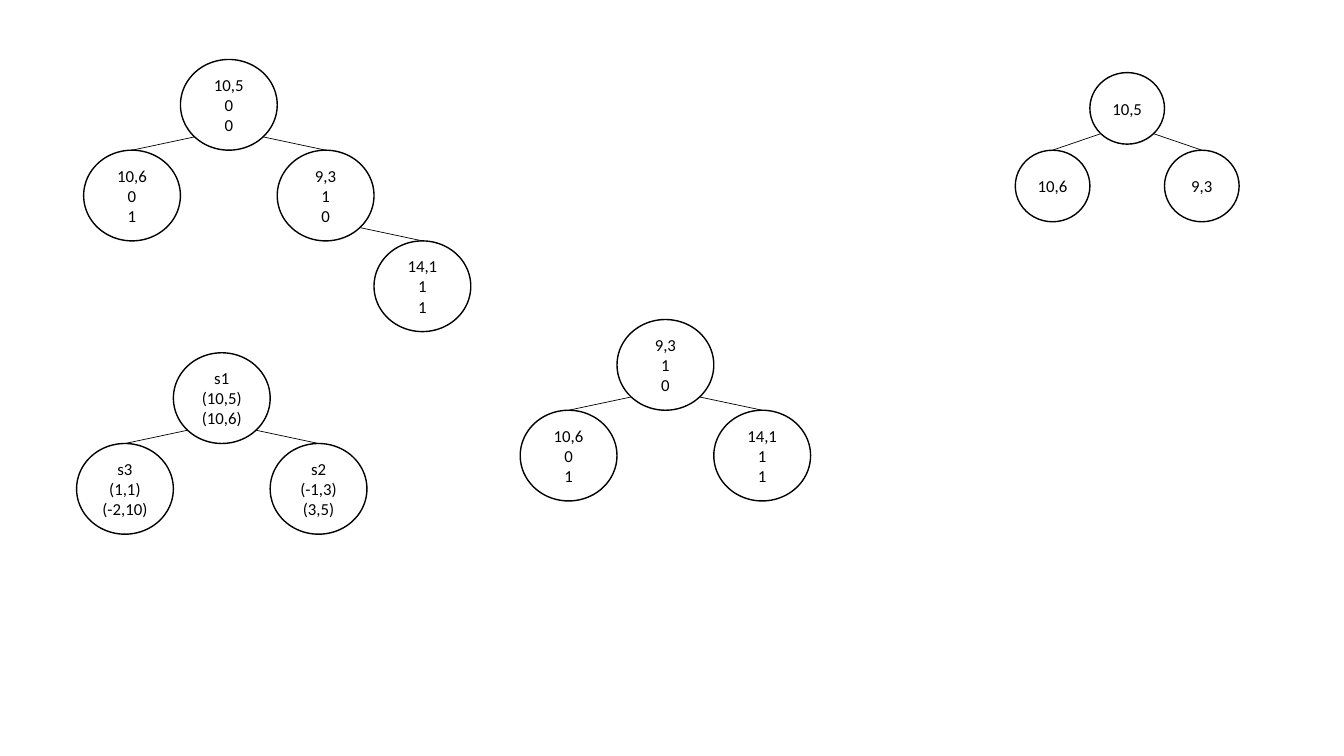
from math import cos, pi, sin

from lxml.etree import SubElement
from pptx import Presentation
from pptx.dml.color import RGBColor
from pptx.enum.shapes import MSO_CONNECTOR, MSO_SHAPE
from pptx.enum.text import MSO_ANCHOR, PP_ALIGN
from pptx.oxml.ns import qn
from pptx.util import Inches, Pt

COLORS = {"ink": "000000", "paper": "FFFFFF"}
TOP_SITE, BOTTOM_LEFT_SITE, BOTTOM_RIGHT_SITE = 0, 3, 5

LARGE = {"width": 0.96, "height": 0.9, "row_step": 0.9}
SMALL = {"width": 0.74, "height": 0.71, "row_step": 0.77}

# Each node: text, column and row from the root, index of its parent.
TREES = [
    {"root": (10.81, 0.72), "size": SMALL, "nodes": [
        ("10,5", 0, 0, None),
        ("10,6", -1, 1, 0),
        ("9,3", 1, 1, 0)]},
    {"root": (1.79, 0.59), "size": LARGE, "nodes": [
        ("10,5\n0\n0", 0, 0, None),
        ("10,6\n0\n1", -1, 1, 0),
        ("9,3\n1\n0", 1, 1, 0),
        ("14,1\n1\n1", 2, 2, 2)]},
    {"root": (6.12, 3.17), "size": LARGE, "nodes": [
        ("9,3\n1\n0", 0, 0, None),
        ("10,6\n0\n1", -1, 1, 0),
        ("14,1\n1\n1", 1, 1, 0)]},
    {"root": (1.72, 3.5), "size": LARGE, "nodes": [
        ("s1\n(10,5)\n(10,6)", 0, 0, None),
        ("s3\n(1,1)\n(-2,10)", -1, 1, 0),
        ("s2\n(-1,3)\n(3,5)", 1, 1, 0)]},
]


def color(name):
    """Return a named colour."""
    return RGBColor.from_string(COLORS[name])


def write_text(frame, text, size=12, font="Calibri", ink="ink", align=PP_ALIGN.CENTER):
    """Write one paragraph per line of text, centred vertically."""
    frame.margin_left = frame.margin_right = frame.margin_top = frame.margin_bottom = 0
    frame.vertical_anchor = MSO_ANCHOR.MIDDLE
    frame.word_wrap = True
    for index, line in enumerate(text.split("\n")):
        para = frame.paragraphs[0] if index == 0 else frame.add_paragraph()
        para.alignment = align
        span = para.add_run()
        span.text = line
        span.font.size = Pt(size)
        span.font.name = font
        span.font.color.rgb = color(ink)


def add_node(group, text, left, top, size):
    """Add an outlined ellipse with its text."""
    node = group.shapes.add_shape(
        MSO_SHAPE.OVAL, Inches(left), Inches(top),
        Inches(size["width"]), Inches(size["height"]))
    node.shadow.inherit = False
    node.fill.solid()
    node.fill.fore_color.rgb = color("paper")
    node.line.color.rgb = color("ink")
    node.line.width = Pt(1)
    write_text(node.text_frame, text)
    return node


def add_branch(group, parent, child):
    """Join the lower side of a parent to the top of its child."""
    side = 1 if child.left > parent.left else -1
    start_x = parent.left + parent.width / 2 * (1 + side * cos(pi / 4))
    start_y = parent.top + parent.height / 2 * (1 + sin(pi / 4))
    branch = group.shapes.add_connector(
        MSO_CONNECTOR.STRAIGHT, int(start_x), int(start_y),
        child.left + child.width // 2, child.top)
    start = branch._element.nvCxnSpPr.cNvCxnSpPr.get_or_add_stCxn()
    start.id = parent.shape_id
    start.idx = BOTTOM_RIGHT_SITE if side > 0 else BOTTOM_LEFT_SITE
    branch.end_connect(child, TOP_SITE)
    branch.line.color.rgb = color("ink")
    branch.line.width = Pt(0.5)
    SubElement(branch._element.spPr, qn("a:effectLst"))


def add_tree(page, root, size, nodes):
    """Add a grouped tree, placing its nodes on a grid around the root."""
    group = page.shapes.add_group_shape()
    left, top = root
    ellipses = [
        add_node(group, text, left + column * size["width"],
                 top + row * size["row_step"], size)
        for text, column, row, _ in nodes]
    for child, (_, _, _, parent) in zip(ellipses, nodes):
        if parent is not None:
            add_branch(group, ellipses[parent], child)


def main():
    """Build the slide of binary trees."""
    deck = Presentation()
    deck.slide_width, deck.slide_height = Inches(13.33), Inches(7.5)
    page = deck.slides.add_slide(deck.slide_layouts[6])
    for tree in TREES:
        add_tree(page, **tree)
    deck.save("out.pptx")


main()
